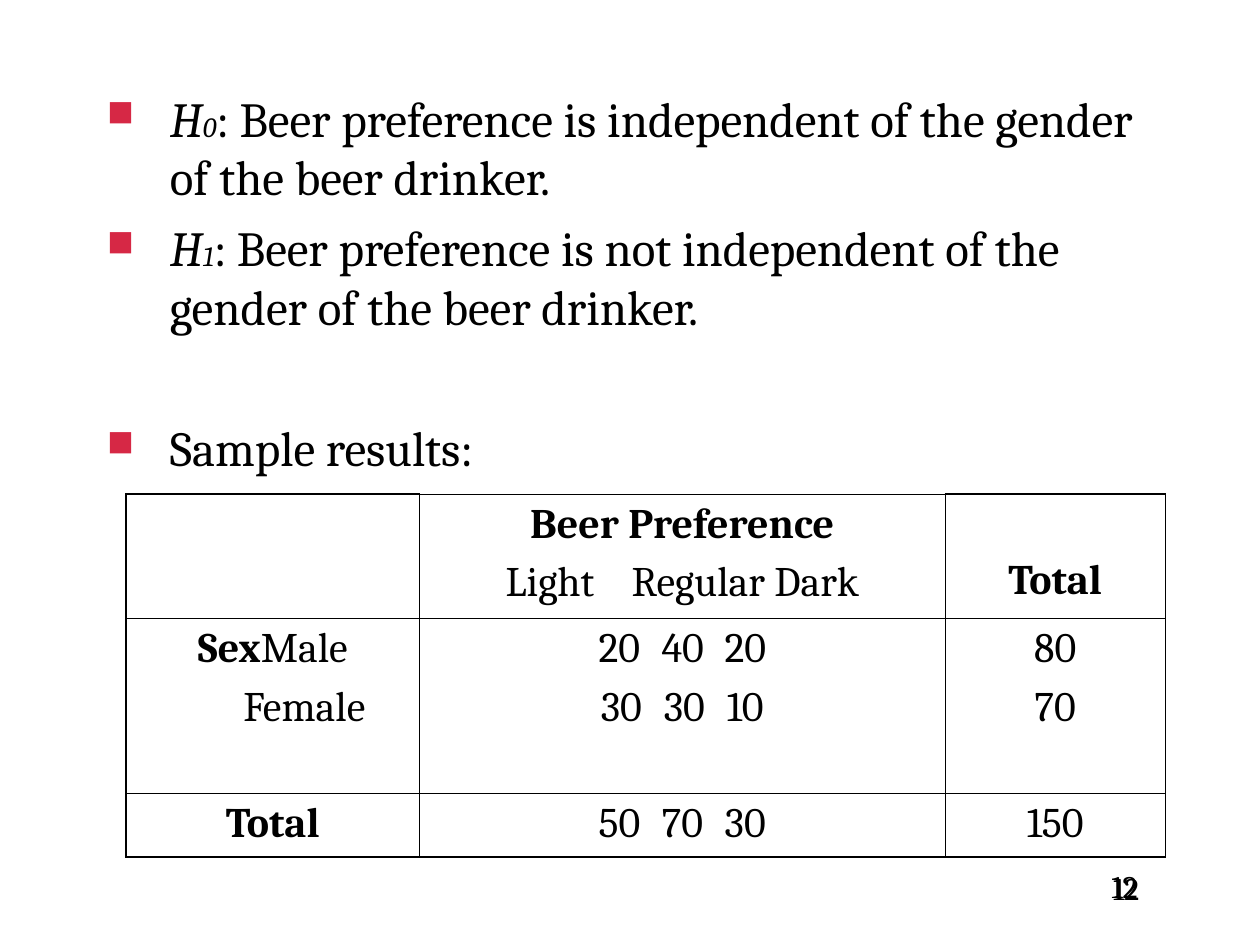
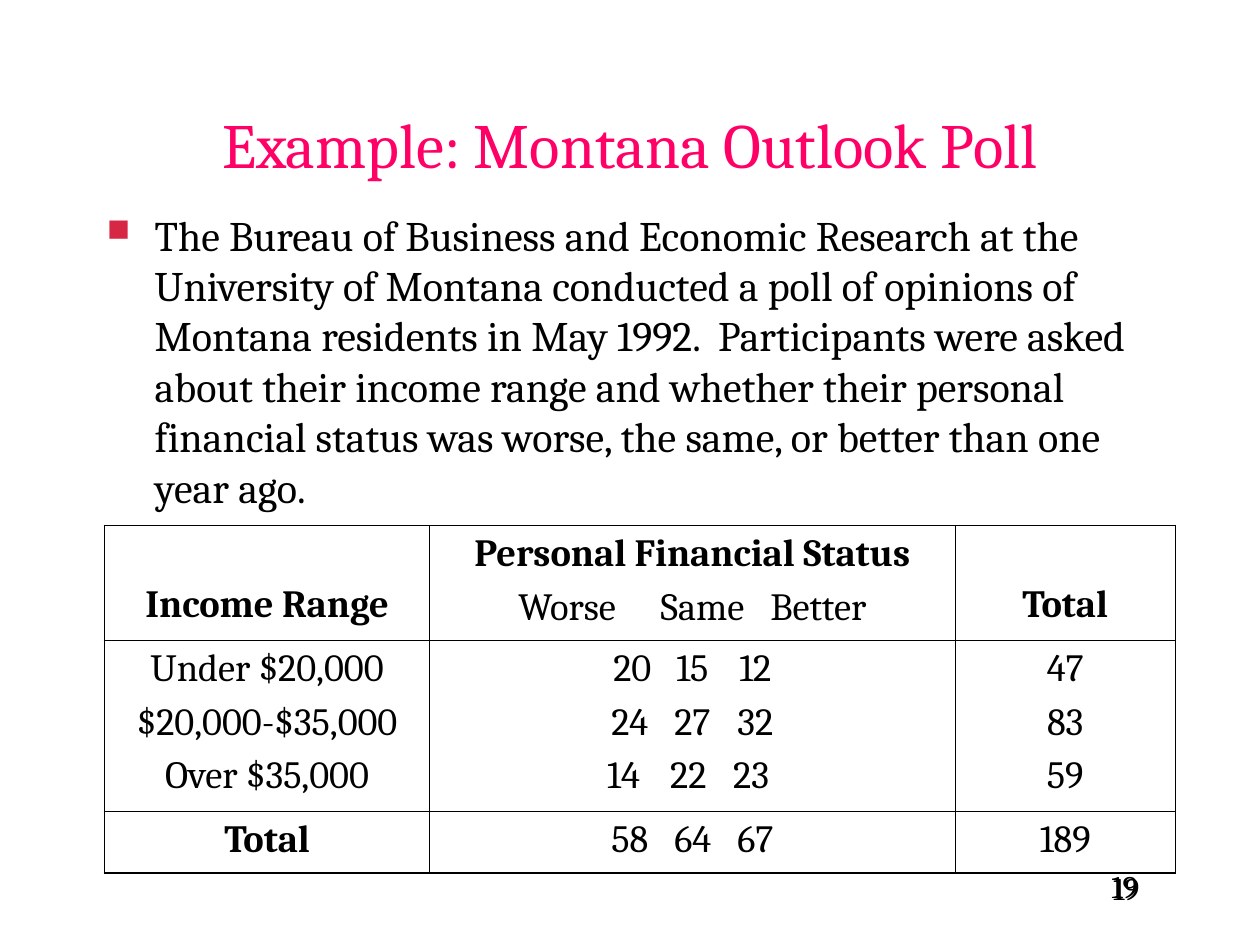
from lxml import etree
from pptx import Presentation
from pptx.dml.color import RGBColor
from pptx.enum.text import MSO_ANCHOR as ANCHOR, PP_ALIGN as ALIGN
from pptx.oxml.ns import qn
from pptx.util import Inches, Pt

FONT = "Cambria"
BLACK, PINK, RED = "000000", "FF0066", "D62845"
THICK, THIN = 1.08, 0.45


def add_run(p, text, size, color=BLACK, bold=False, italic=False):
    r = p.add_run()
    r.text = text
    r.font.name, r.font.size = FONT, Pt(size)
    r.font.bold, r.font.italic = bold, italic
    r.font.color.rgb = RGBColor.from_string(color)


def add_xml(parent, tag, **attrs):
    return etree.SubElement(parent, qn(tag), {k: str(v) for k, v in attrs.items()})


# Content: body paragraphs are (space before, runs), runs are (text, size, italic)
slides = [
    dict(
        number="12", title=None, body_at=(0.65, 5.77), indent=0.5,
        body=[
            (0, [("H", 28, True), ("0", 16, True),
                 (": Beer preference is independent of the gender of the beer drinker.", 28, False)]),
            (7, [("H", 28, True), ("1", 16, True),
                 (": Beer preference is not independent of the gender of the beer drinker.", 28, False)]),
            (47, [("Sample results:", 28, False)]),
        ],
        table_at=(1, 3.92), size=24, gap=6, tabs=[],
        cols=[2.33, 4.17, 1.75], rows=[0.99, 1.39, 0.5],
        cells=[
            [[], ["*Beer Preference", "Light\tRegular Dark"], ["*Total"]],
            [["*Sex\t|Male", "\tFemale"], ["20\t40\t20", "30\t30\t10"], ["80", "70"]],
            [["*Total"], ["50\t70\t30"], ["150"]],
        ],
    ),
    dict(
        number="19", title="Example: Montana Outlook Poll", body_at=(1.61, 5.08), indent=0.38,
        body=[
            (0, [("The Bureau of Business and Economic Research at the University of Montana "
                  "conducted a poll of opinions of Montana residents in May 1992.  Participants "
                  "were asked about their income range and whether their personal financial "
                  "status was worse, the same, or better than one year ago.", 24, False)]),
        ],
        table_at=(0.83, 4.17), size=22, gap=5.5, tabs=[1.13, 2],
        cols=[2.58, 4.17, 1.75], rows=[0.91, 1.36, 0.49],
        cells=[
            [["*Income Range"], ["*Personal Financial Status", "Worse\tSame\tBetter"], ["*Total"]],
            [["Under $20,000", "$20,000-$35,000", "Over $35,000"],
             ["20\t15\t12", "24\t27\t32", "14\t22\t23 "], ["47", "83", "59"]],
            [["*Total"], ["58\t64\t67"], ["189"]],
        ],
    ),
]

prs = Presentation()
prs.slide_width, prs.slide_height = Inches(10), Inches(7.5)

for info in slides:
    s = prs.slides.add_slide(prs.slide_layouts[6])

    # Slide number with a small hard shadow
    sp = s.shapes.add_textbox(Inches(8.6), Inches(6.83), Inches(1.6), Inches(0.46))
    sp.text_frame.margin_left = Inches(0.22)
    add_run(sp.text_frame.paragraphs[0], info["number"], 18)
    effects = add_xml(sp._element.spPr, "a:effectLst")
    shadow = add_xml(effects, "a:outerShdw", dist=Inches(0.02), dir=2700000)
    add_xml(shadow, "a:srgbClr", val=BLACK)

    # Title
    if info["title"]:
        sp = s.shapes.add_textbox(Inches(0.75), Inches(0.69), Inches(8.5), Inches(0.89))
        tf = sp.text_frame
        tf.word_wrap, tf.vertical_anchor = True, ANCHOR.MIDDLE
        tf.paragraphs[0].alignment = ALIGN.CENTER
        add_run(tf.paragraphs[0], info["title"], 36, PINK)

    # Bulleted body
    top, height = info["body_at"]
    sp = s.shapes.add_textbox(Inches(0.75), Inches(top), Inches(8.5), Inches(height))
    tf = sp.text_frame
    tf.word_wrap = True
    for i, (before, runs) in enumerate(info["body"]):
        p = tf.add_paragraph() if i else tf.paragraphs[0]
        pPr = p._p.get_or_add_pPr()
        pPr.set("marL", str(Inches(info["indent"])))
        pPr.set("indent", str(-Inches(info["indent"])))
        add_xml(add_xml(pPr, "a:buClr"), "a:srgbClr", val=RED)
        add_xml(pPr, "a:buSzPct", val=75000)
        add_xml(pPr, "a:buChar", char="■")
        if before:
            p.space_before = Pt(before)
        for text, size, italic in runs:
            add_run(p, text, size, italic=italic)

    # Contingency table
    cols, rows, size, gap = info["cols"], info["rows"], info["size"], info["gap"]
    left, top = info["table_at"]
    frame = s.shapes.add_table(len(rows), len(cols), Inches(left), Inches(top),
                               Inches(sum(cols)), Inches(sum(rows)))
    table = frame.table
    table.first_row = table.horz_banding = False
    for column, width in zip(table.columns, cols):
        column.width = Inches(width)
    for row, height in zip(table.rows, rows):
        row.height = Inches(height)

    for y, row in enumerate(info["cells"]):
        for x, lines in enumerate(row):
            cell = table.cell(y, x)
            cell.margin_left = cell.margin_right = Inches(0.1)
            cell.margin_top = cell.margin_bottom = Inches(0.05)
            if y == 0 and len(lines) == 1:  # lone heading sits on the second line
                cell.margin_top = Inches(0.05) + Pt(1.17 * size + gap - 2)

            # Cell text: * marks bold, | parts the runs
            tf = cell.text_frame
            for i, line in enumerate(lines):
                p = tf.add_paragraph() if i else tf.paragraphs[0]
                p.alignment = ALIGN.CENTER
                if y == 0 and i == 1 and info["tabs"]:
                    tab_list = add_xml(p._p.get_or_add_pPr(), "a:tabLst")
                    for pos in info["tabs"]:
                        add_xml(tab_list, "a:tab", pos=Inches(pos), algn="l")
                if i:
                    p.space_before = Pt(gap)
                for text in line.split("|"):
                    add_run(p, text.lstrip("*"), size, bold=text.startswith("*"))

            # Borders: thick outside, thin inside and above the middle heading
            outer = dict(L=x == 0, R=x == len(cols) - 1,
                         T=y == 0 and x != 1, B=y == len(rows) - 1)
            tcPr = cell._tc.get_or_add_tcPr()
            for side, is_outer in outer.items():
                ln = add_xml(tcPr, f"a:ln{side}", w=Pt(THICK if is_outer else THIN))
                add_xml(add_xml(ln, "a:solidFill"), "a:srgbClr", val=BLACK)
            cell.fill.background()

prs.save("out.pptx")
